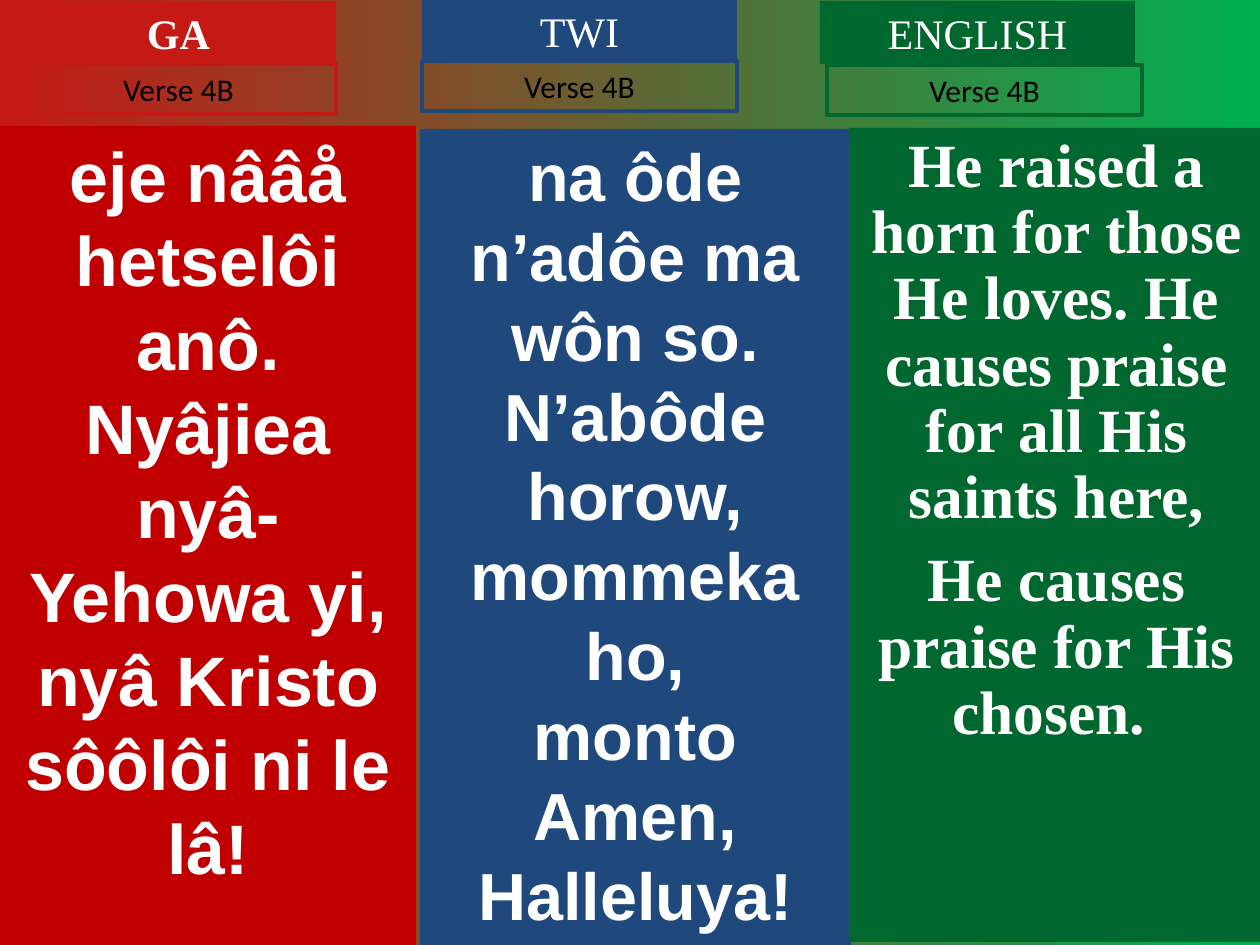
from pptx import Presentation
from pptx.dml.color import RGBColor
from pptx.enum.shapes import MSO_SHAPE as Shape
from pptx.enum.text import MSO_ANCHOR as Anchor, PP_ALIGN as Align
from pptx.util import Pt

PX = 914400 // 126
SLIDE_W, SLIDE_H = 1260, 945
TAB_W, TITLE_H, VERSE_H = 315, 63, 50
VERSE = "Verse 4B"
BACKGROUND = ("C51915", "00B050")

LANGUAGES = [
    dict(title="GA", title_bold=True, accent="C51915", fill="C00000",
         title_at=(21, 1), verse_at=(21, 64), lyrics_box=(0, 126, 416, 819),
         lyrics=["eje nââå hetselôi anô.",
                 "Nyâjiea nyâ-Yehowa yi,",
                 "nyâ Kristo sôôlôi ni le lâ!"],
         style=dict(size=40, font="Arial")),
    dict(title="TWI", title_bold=False, accent="1F497D", fill="1F497D",
         title_at=(422, -1), verse_at=(422, 61), lyrics_box=(420, 129, 431, 816),
         lyrics=["na ôde n’adôe ma wôn so.",
                 "N’abôde horow, mommeka ho,",
                 "monto Amen, Halleluya!"],
         style=dict(size=38, font="Arial")),
    dict(title="ENGLISH", title_bold=False, accent="00682F", fill="00682F",
         title_at=(820, 1), verse_at=(827, 65), lyrics_box=(849, 128, 415, 814),
         lyrics=["He raised a horn for those He loves. He causes praise "
                 "for all His saints here,",
                 "He causes praise for His chosen. "],
         style=dict(size=35.1, font="Times New Roman", line_spacing=0.9, gap=9.5)),
]


def color(value):
    return RGBColor.from_string(value)


def add_panel(box, fill=None, line=None):
    panel = slide.shapes.add_shape(Shape.RECTANGLE, *(v * PX for v in box))
    panel.shadow.inherit = False
    if fill:
        panel.fill.solid()
        panel.fill.fore_color.rgb = color(fill)
    else:
        panel.fill.background()
    if line:
        panel.line.color.rgb = color(line)
        panel.line.width = Pt(2.25)
    else:
        panel.line.fill.background()
    return panel


def write(panel, paragraphs, size, font, ink="FFFFFF", bold=False,
          line_spacing=None, gap=0):
    frame = panel.text_frame
    frame.word_wrap = True
    frame.vertical_anchor = Anchor.TOP
    for index, words in enumerate(paragraphs):
        paragraph = frame.add_paragraph() if index else frame.paragraphs[0]
        paragraph.alignment = Align.CENTER
        paragraph.line_spacing = line_spacing
        if index and gap:
            paragraph.space_before = Pt(gap)
        run = paragraph.add_run()
        run.text = words
        run.font.size = Pt(size)
        run.font.name = font
        run.font.bold = bold
        run.font.color.rgb = color(ink)


deck = Presentation()
deck.slide_width, deck.slide_height = SLIDE_W * PX, SLIDE_H * PX
slide = deck.slides.add_slide(deck.slide_layouts[6])
backdrop = slide.background.fill
backdrop.gradient()
backdrop.gradient_angle = 0
for stop, position, value in zip(backdrop.gradient_stops, (0, 1), BACKGROUND):
    stop.position = position
    stop.color.rgb = color(value)

for language in LANGUAGES:
    lyrics = add_panel(language["lyrics_box"], fill=language["fill"])
    write(lyrics, language["lyrics"], bold=True, **language["style"])
    title = add_panel((*language["title_at"], TAB_W, TITLE_H), fill=language["accent"])
    write(title, [language["title"]], 24, "Times New Roman", bold=language["title_bold"])
    verse = add_panel((*language["verse_at"], TAB_W, VERSE_H), line=language["accent"])
    write(verse, [VERSE], 18, "Calibri", ink="000000")

deck.save("out.pptx")
